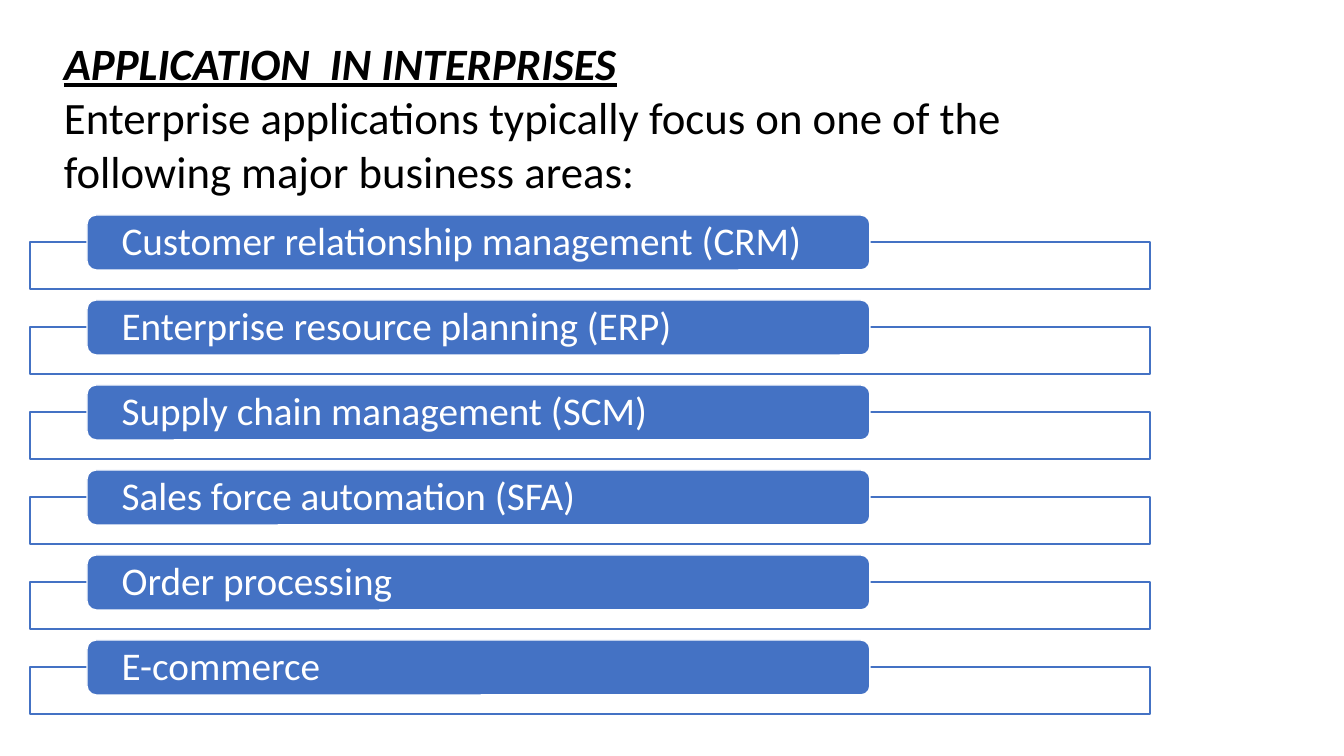
from pptx import Presentation
from pptx.dml.color import RGBColor
from pptx.enum.shapes import MSO_SHAPE
from pptx.enum.text import MSO_ANCHOR, PP_ALIGN
from pptx.util import Pt

RECT, ROUND_RECT = MSO_SHAPE.RECTANGLE, MSO_SHAPE.ROUNDED_RECTANGLE
MIDDLE, LEFT = MSO_ANCHOR.MIDDLE, PP_ALIGN.LEFT

# Content
TITLE = "APPLICATION  IN INTERPRISES"
INTRO = "Enterprise applications typically focus on one of the following major business areas:"
AREAS = [
    "Customer relationship management (CRM)",
    "Enterprise resource planning (ERP)",
    "Supply chain management (SCM)",
    "Sales force automation (SFA)",
    "Order processing",
    "E-commerce",
]


class Theme:
    font = "Calibri"
    ink = RGBColor(0x00, 0x00, 0x00)
    white = RGBColor(0xFF, 0xFF, 0xFF)
    blue = RGBColor(0x44, 0x72, 0xC4)
    heading = Pt(32)
    label = Pt(28)
    line = Pt(1)


# Layout in px
SLIDE_W, SLIDE_H = 1344, 756
HEADING = (54, 31, 1075, 173)
LIST_TOP, PITCH = 215, 85
PILL_X, PILL_W, PILL_H = 87, 783, 55
FRAME_X, FRAME_W, FRAME_H = 30, 1120, 47
FRAME_DROP = 27
INSET = 32


def px(n):
    return round(n * 914400 / 100.8)


def style(p, size, color):
    font = p.runs[0].font
    font.name, font.size, font.color.rgb = Theme.font, size, color
    return font


def add_box(s, kind, box, fill, line):
    sp = s.shapes.add_shape(kind, *map(px, box))
    sp.shadow.inherit = False
    sp.fill.solid()
    sp.fill.fore_color.rgb = fill
    sp.line.color.rgb = line
    sp.line.width = Theme.line
    return sp


def add_heading(s):
    tf = s.shapes.add_textbox(*map(px, HEADING)).text_frame
    tf.word_wrap = True
    title, intro = tf.paragraphs[0], tf.add_paragraph()
    title.text, intro.text = TITLE, INTRO
    font = style(title, Theme.heading, Theme.ink)
    font.bold = font.italic = font.underline = True
    style(intro, Theme.heading, Theme.ink)


def add_area(s, label, top):
    # Outlined frame behind the label
    add_box(s, RECT, (FRAME_X, top + FRAME_DROP, FRAME_W, FRAME_H), Theme.white, Theme.blue)
    # Rounded label
    sp = add_box(s, ROUND_RECT, (PILL_X, top, PILL_W, PILL_H), Theme.blue, Theme.white)
    tf = sp.text_frame
    tf.text = label
    tf.word_wrap = True
    tf.vertical_anchor = MIDDLE
    tf.margin_left = tf.margin_right = px(INSET)
    tf.margin_top = tf.margin_bottom = 0
    p = tf.paragraphs[0]
    p.alignment = LEFT
    p.line_spacing = 0.9
    style(p, Theme.label, Theme.white)


def main():
    prs = Presentation()
    prs.slide_width, prs.slide_height = px(SLIDE_W), px(SLIDE_H)
    s = prs.slides.add_slide(prs.slide_layouts[6])
    add_heading(s)
    for i, label in enumerate(AREAS):
        add_area(s, label, LIST_TOP + i * PITCH)
    prs.save("out.pptx")


if __name__ == "__main__":
    main()
